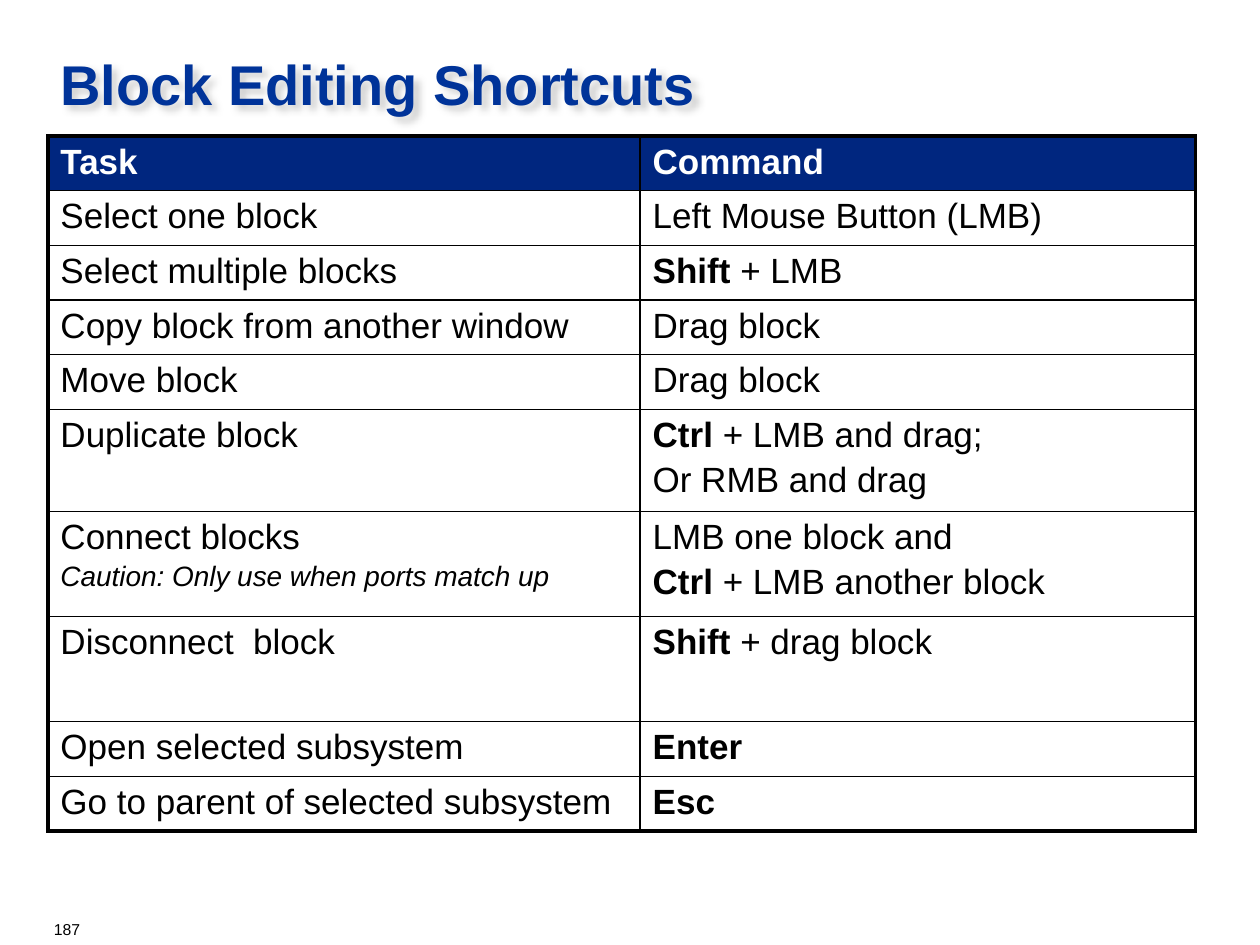
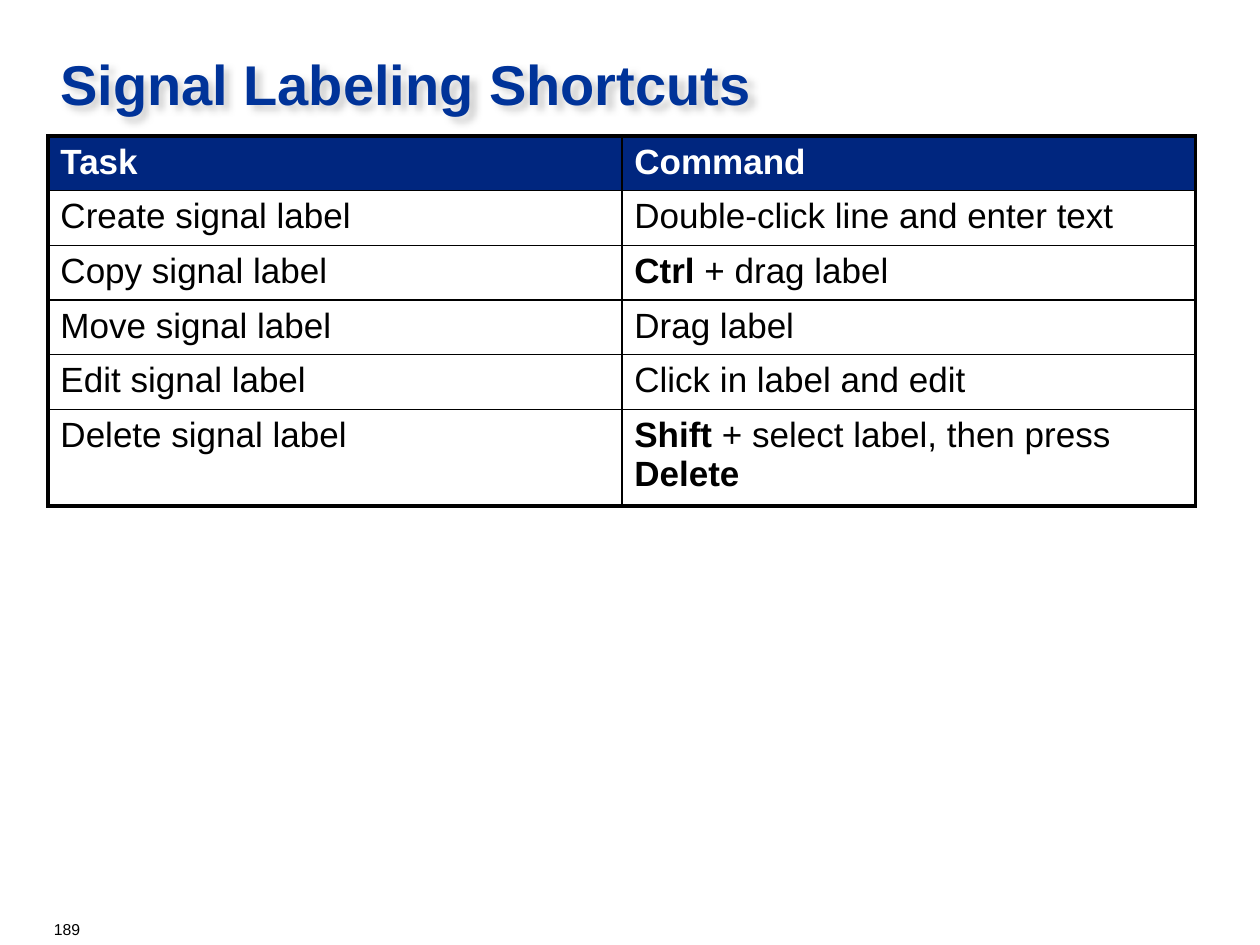
"""Build two slides of keyboard and mouse shortcut tables."""
from lxml import etree
from pptx import Presentation
from pptx.dml.color import RGBColor
from pptx.oxml.ns import qn
from pptx.util import Inches, Pt

SHORTCUT_SLIDES = [
    {
        "title": "Block Editing Shortcuts",
        "number": "187",
        "task_width": 4.7,
        "rows": [
            ("Select one block", "Left Mouse Button (LMB)"),
            ("Select multiple blocks", "*Shift* + LMB"),
            ("Copy block from another window", "Drag block"),
            ("Move block", "Drag block"),
            ("Duplicate block", "*Ctrl* + LMB and drag;\nOr RMB and drag"),
            ("Connect blocks\n_Caution: Only use when ports match up",
             "LMB one block and\n*Ctrl* + LMB another block"),
            ("Disconnect  block", "*Shift* + drag block"),
            ("Open selected subsystem", "*Enter*"),
            ("Go to parent of selected subsystem", "*Esc*"),
        ],
        "tall_rows": {6: 60, 7: 60},
    },
    {
        "title": "Signal Labeling Shortcuts",
        "number": "189",
        "task_width": 4.555,
        "rows": [
            ("Create signal label", "Double-click line and enter text"),
            ("Copy signal label", "*Ctrl* + drag label"),
            ("Move signal label", "Drag label"),
            ("Edit signal label", "Click in label and edit"),
            ("Delete signal label", "*Shift* + select label, then press *Delete*"),
        ],
        "tall_rows": {5: 55},
    },
]
HEADER = ("*Task*", "*Command*")

FONT = "Arial"
TITLE_BLUE = RGBColor(0x00, 0x33, 0x99)
HEADER_BLUE = RGBColor(0x00, 0x26, 0x7F)
WHITE = RGBColor(0xFF, 0xFF, 0xFF)
BLACK = RGBColor(0x00, 0x00, 0x00)
LEFT, WIDTH = 0.38, 9.11
TABLE_TOP = 1.08
ROW_POINTS = 31.2
TEXT_SIZE, NOTE_SIZE = 20, 16
SPACE_SHARE = 0.16
OUTER_LINE, INNER_LINE = Pt(2.25), Pt(1)


def style_font(font, size, color, bold=False, italic=False):
    font.name, font.size = FONT, Pt(size)
    font.bold, font.italic = bold, italic
    font.color.rgb = color


def add_label(slide, text, box, size, color, bold=False, top_inset=0.05):
    shape = slide.shapes.add_textbox(*map(Inches, box))
    frame = shape.text_frame
    frame.word_wrap = True
    frame.margin_top = Inches(top_inset)
    frame.text = text
    style_font(frame.paragraphs[0].runs[0].font, size, color, bold)
    return shape


def add_soft_shadow(shape):
    effects = etree.SubElement(shape._element.spPr, qn("a:effectLst"))
    shadow = etree.SubElement(effects, qn("a:outerShdw"), blurRad=str(Pt(4)),
                              dist=str(Pt(4)), dir="2700000", algn="tl")
    color = etree.SubElement(shadow, qn("a:srgbClr"), val=str(BLACK))
    etree.SubElement(color, qn("a:alpha"), val="18000")


def set_borders(cell, widths):
    properties = cell._tc.get_or_add_tcPr()
    for position, (side, width) in enumerate(widths.items()):
        line = etree.Element(qn(f"a:ln{side}"), w=str(width))
        fill = etree.SubElement(line, qn("a:solidFill"))
        etree.SubElement(fill, qn("a:srgbClr"), val=str(BLACK))
        properties.insert(position, line)


def fill_cell(cell, content, text_color, background):
    cell.fill.solid()
    cell.fill.fore_color.rgb = background
    frame = cell.text_frame
    for index, line in enumerate(content.split("\n")):
        paragraph = frame.add_paragraph() if index else frame.paragraphs[0]
        is_note = line.startswith("_")
        size = NOTE_SIZE if is_note else TEXT_SIZE
        if index:
            paragraph.space_before = Pt(size * SPACE_SHARE)
        for part, words in enumerate(line.lstrip("_").split("*")):
            if words:
                run = paragraph.add_run()
                run.text = words
                style_font(run.font, size, text_color, part % 2 == 1, is_note)


def add_shortcut_table(slide, content):
    rows = [HEADER, *content["rows"]]
    heights = [Inches(content["tall_rows"].get(index, ROW_POINTS) / 72)
               for index in range(len(rows))]
    table = slide.shapes.add_table(
        len(rows), len(HEADER), Inches(LEFT), Inches(TABLE_TOP),
        Inches(WIDTH), sum(heights)).table
    table.columns[0].width = Inches(content["task_width"])
    table.columns[1].width = Inches(WIDTH - content["task_width"])
    last_row, last_column = len(rows) - 1, len(HEADER) - 1
    for row, texts in enumerate(rows):
        table.rows[row].height = heights[row]
        colors = (BLACK, WHITE) if row else (WHITE, HEADER_BLUE)
        for column, text in enumerate(texts):
            cell = table.cell(row, column)
            fill_cell(cell, text, *colors)
            outer = {"L": column == 0, "R": column == last_column,
                     "T": row == 0, "B": row == last_row}
            set_borders(cell, {side: OUTER_LINE if edge else INNER_LINE
                               for side, edge in outer.items()})


def main():
    presentation = Presentation()
    presentation.slide_width, presentation.slide_height = Inches(10), Inches(7.5)
    for content in SHORTCUT_SLIDES:
        slide = presentation.slides.add_slide(presentation.slide_layouts[6])
        add_label(slide, content["number"], (0.33, 7.25, 0.75, 0.25), 9, BLACK)
        title = add_label(slide, content["title"], (LEFT, 0.3, WIDTH, 1), 32,
                          TITLE_BLUE, bold=True, top_inset=0.09)
        add_soft_shadow(title)
        add_shortcut_table(slide, content)
    presentation.save("out.pptx")


if __name__ == "__main__":
    main()
